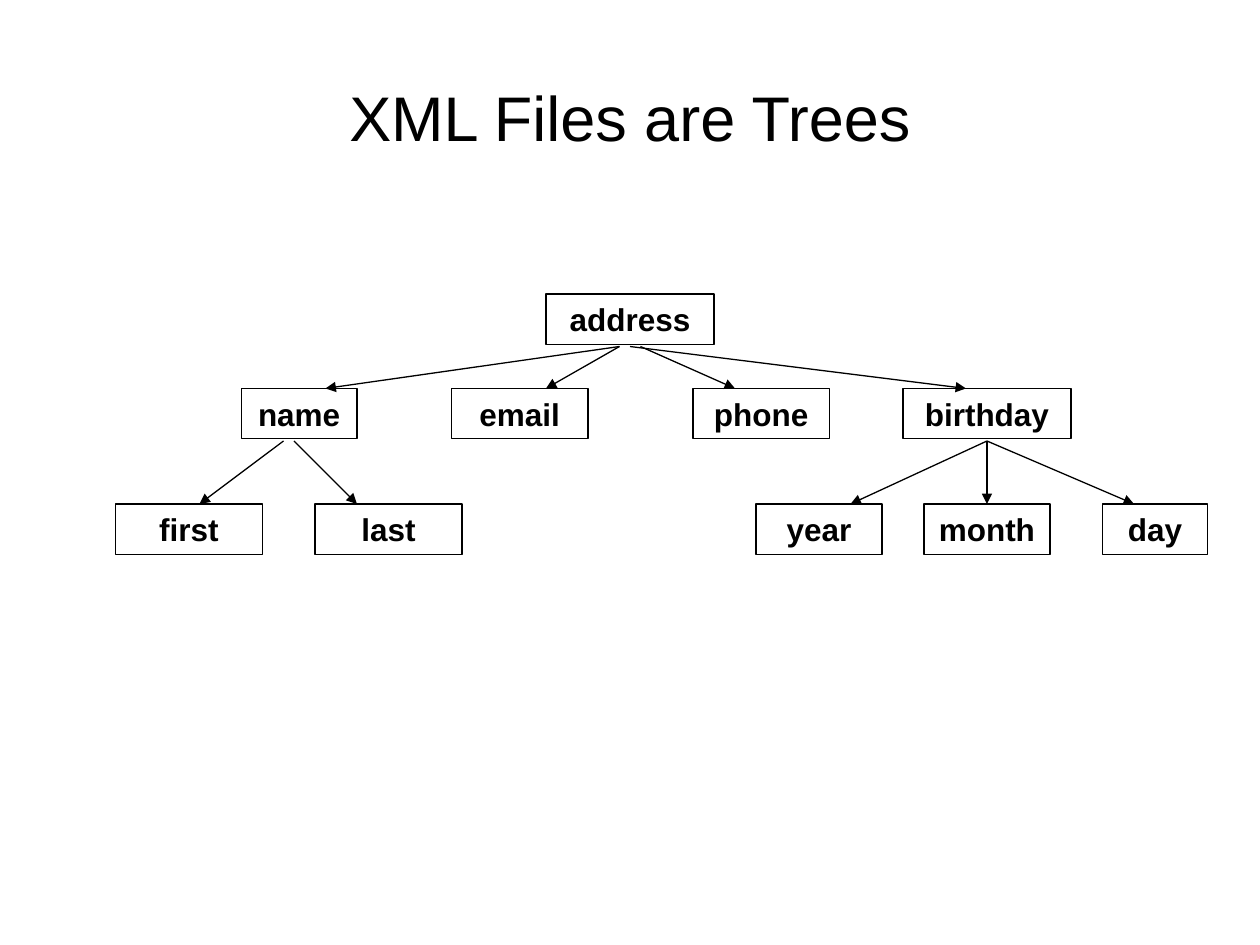
from dataclasses import dataclass

from lxml.etree import SubElement
from pptx import Presentation
from pptx.dml.color import RGBColor
from pptx.enum.shapes import MSO_CONNECTOR, MSO_SHAPE
from pptx.enum.text import MSO_ANCHOR, MSO_AUTO_SIZE, PP_ALIGN
from pptx.oxml.ns import qn
from pptx.slide import Slide
from pptx.text.text import TextFrame
from pptx.util import Inches, Pt


@dataclass(frozen=True)
class Theme:
    ink: RGBColor = RGBColor(0, 0, 0)
    font: str = "Arial"
    title_size: int = 36
    node_size: int = 18
    line_width: float = 0.75


@dataclass(frozen=True)
class Node:
    label: str
    column: int
    columns: int
    level: int


@dataclass(frozen=True)
class Branch:
    start_column: int
    end_column: int
    level: int  # level of the parent


THEME = Theme()
CELLS_PER_INCH = 12
NODE_HEIGHT = 0.4
LEVEL_ROWS = (28, 37, 48)  # top row of each tree level
BRANCH_OFFSET = 5  # rows from a parent's top to its branches

NODES = (
    Node("address", 52, 16, 0),
    Node("name", 23, 11, 1),
    Node("email", 43, 13, 1),
    Node("phone", 66, 13, 1),
    Node("birthday", 86, 16, 1),
    Node("first", 11, 14, 2),
    Node("last", 30, 14, 2),
    Node("year", 72, 12, 2),
    Node("month", 88, 12, 2),
    Node("day", 105, 10, 2),
)
BRANCHES = (
    Branch(59, 31, 0),
    Branch(59, 52, 0),
    Branch(61, 70, 0),
    Branch(60, 92, 0),
    Branch(27, 19, 1),
    Branch(28, 34, 1),
    Branch(94, 81, 1),
    Branch(94, 94, 1),
    Branch(94, 108, 1),
)


def cells(count: int) -> int:
    return Inches(count / CELLS_PER_INCH)


def write(frame: TextFrame, text: str, size: int, bold: bool = False) -> None:
    frame.word_wrap = True
    frame.text = text
    para = frame.paragraphs[0]
    para.alignment = PP_ALIGN.CENTER
    font = para.runs[0].font
    font.name, font.size, font.bold = THEME.font, Pt(size), bold
    font.color.rgb = THEME.ink


def add_title(page: Slide, text: str) -> None:
    box = page.shapes.add_textbox(Inches(0.5), Inches(0.3), Inches(9), Inches(1.25))
    write(box.text_frame, text, THEME.title_size)
    box.text_frame.vertical_anchor = MSO_ANCHOR.MIDDLE


def add_node(page: Slide, node: Node) -> None:
    box = page.shapes.add_shape(
        MSO_SHAPE.RECTANGLE, cells(node.column), cells(LEVEL_ROWS[node.level]),
        cells(node.columns), Inches(NODE_HEIGHT))
    box.shadow.inherit = False
    box.fill.background()
    box.line.color.rgb = THEME.ink
    box.line.width = Pt(THEME.line_width)
    write(box.text_frame, node.label, THEME.node_size, bold=True)
    box.text_frame.vertical_anchor = MSO_ANCHOR.TOP
    box.text_frame.auto_size = MSO_AUTO_SIZE.SHAPE_TO_FIT_TEXT


def add_branch(page: Slide, branch: Branch) -> None:
    arrow = page.shapes.add_connector(
        MSO_CONNECTOR.STRAIGHT,
        cells(branch.start_column), cells(LEVEL_ROWS[branch.level] + BRANCH_OFFSET),
        cells(branch.end_column), cells(LEVEL_ROWS[branch.level + 1]))
    arrow.line.color.rgb = THEME.ink
    arrow.line.width = Pt(THEME.line_width)
    # Arrowhead at the child, and no shadow
    SubElement(arrow.line._get_or_add_ln(), qn("a:tailEnd"), type="triangle")
    SubElement(arrow._element.spPr, qn("a:effectLst"))


def main() -> None:
    deck = Presentation()
    deck.slide_width, deck.slide_height = Inches(10), Inches(7.5)
    page = deck.slides.add_slide(deck.slide_layouts[6])

    # Heading
    add_title(page, "XML Files are Trees")

    # Tree
    for node in NODES:
        add_node(page, node)
    for branch in BRANCHES:
        add_branch(page, branch)

    deck.save("out.pptx")


if __name__ == "__main__":
    main()
